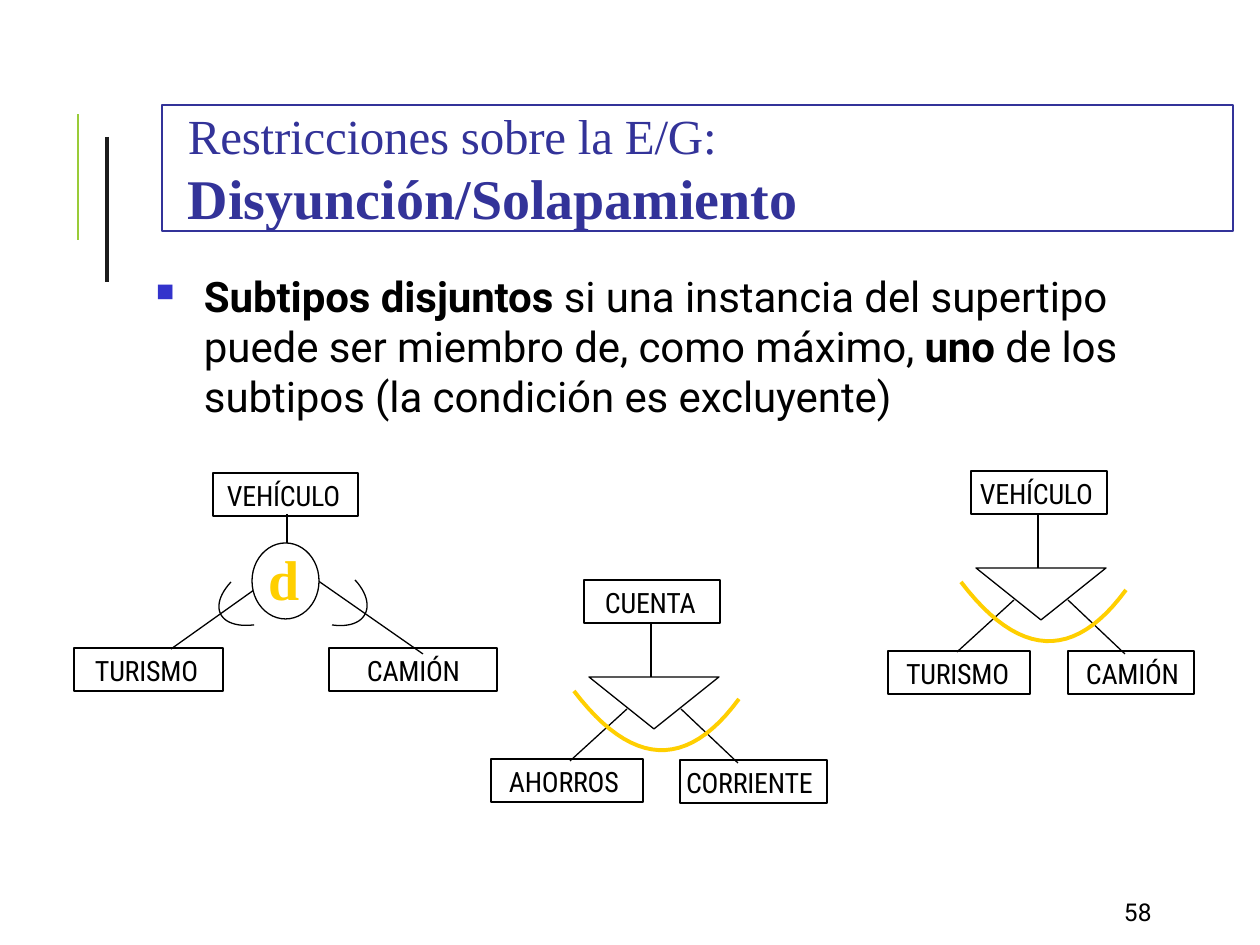
import pptx
import pptx.util
import pptx.dml.color
import pptx.enum.shapes
import pptx.enum.text
import pptx.oxml.ns
import lxml.etree

EMU_PER_PX = 914400 / 126
COLORS = {
    "black": "000000", "white": "FFFFFF", "green": "99CB38", "dark": "1C1C1C",
    "title": "333399", "bullet": "3333CC", "yellow": "FFCF00",
}
LABEL_FONT = "Roboto Condensed"
SERIF = "Times New Roman"
SHAPES = pptx.enum.shapes.MSO_SHAPE


def px(n):
    return round(n * EMU_PER_PX)


def rgb(name):
    return pptx.dml.color.RGBColor.from_string(COLORS[name])


def sub(parent, tag, **attrs):
    el = lxml.etree.SubElement(parent, pptx.oxml.ns.qn(tag))
    for key, value in attrs.items():
        el.set(key, value)
    return el


def style(sp, line=None, width=0.75, fill=None):
    sp.shadow.inherit = False
    if fill:
        sp.fill.solid()
        sp.fill.fore_color.rgb = rgb(fill)
    else:
        sp.fill.background()
    sp.line.color.rgb = rgb(line)
    sp.line.width = pptx.util.Pt(width)


def add_bullet(p, color, char, left, hang):
    pPr = p._p.get_or_add_pPr()
    pPr.set("marL", str(px(left)))
    pPr.set("indent", str(-px(hang)))
    sub(sub(pPr, "a:buClr"), "a:srgbClr", val=COLORS[color])
    sub(pPr, "a:buSzPct", val="60000")
    sub(pPr, "a:buChar", char=char)


def add_runs(p, runs, size, font, color="black", spc=0):
    p.alignment = pptx.enum.text.PP_ALIGN.LEFT
    for text, bold in runs:
        r = p.add_run()
        r.text = text
        r.font.size = pptx.util.Pt(size)
        r.font.name = font
        r.font.bold = bold
        r.font.color.rgb = rgb(color)
        if spc:
            r._r.get_or_add_rPr().set("spc", str(spc))


def frame(sp, left=0, top=1, anchor="TOP"):
    tf = sp.text_frame
    tf.word_wrap = True
    tf.margin_left, tf.margin_top = px(left), px(top)
    tf.margin_right = tf.margin_bottom = 0
    tf.vertical_anchor = getattr(pptx.enum.text.MSO_ANCHOR, anchor)
    return tf


def add_text(s, x, y, w, h, runs, left=0, anchor="TOP", bullet=None, **fmt):
    tf = frame(s.shapes.add_textbox(px(x), px(y), px(w), px(h)), left, anchor=anchor)
    p = tf.paragraphs[0]
    if bullet:
        add_bullet(p, **bullet)
    add_runs(p, runs, **fmt)


def add_shape(s, kind, x, y, w, h, **look):
    sp = s.shapes.add_shape(kind, px(x), px(y), px(w), px(h))
    style(sp, **look)
    return sp


def add_entity(s, name, x, y, w, left):
    sp = add_shape(s, SHAPES.RECTANGLE, x, y, w, 43, line="black")
    p = frame(sp, left, 6).paragraphs[0]
    add_runs(p, [(name, False)], 16, LABEL_FONT, spc=-10)


def add_line(s, x1, y1, x2, y2, color="black", width=0.75):
    ln = s.shapes.add_connector(
        pptx.enum.shapes.MSO_CONNECTOR.STRAIGHT, px(x1), px(y1), px(x2), px(y2))
    ln.line.color.rgb = rgb(color)
    ln.line.width = pptx.util.Pt(width)
    sub(ln._element.spPr, "a:effectLst")


def add_outline(s, points, close=False, **look):
    pts = [(px(x), px(y)) for x, y in points]
    fb = s.shapes.build_freeform(*pts[0])
    fb.add_line_segments(pts[1:], close=close)
    style(fb.convert_to_shape(), **look)


def add_curve(s, controls, steps=24, **look):
    points = []
    for i in range(steps + 1):
        t = i / steps
        weights = ((1 - t) ** 3, 3 * t * (1 - t) ** 2, 3 * t * t * (1 - t), t ** 3)
        points.append([sum(w * c[k] for w, c in zip(weights, controls)) for k in (0, 1)])
    add_outline(s, points, **look)


def add_triangle_split(s, x, y):
    for x1, y1, x2, y2 in [(62, -53, 62, 0), (38, 32, -19, 84), (92, 32, 149, 86)]:
        add_line(s, x + x1, y + y1, x + x2, y + y2)
    add_outline(s, [(x, y), (x + 65, y + 52), (x + 130, y)], close=True, line="black")
    arc = [(150, 22), (98, 93), (43, 90), (-15, 14)]
    add_curve(s, [(x + dx, y + dy) for dx, dy in arc], line="yellow", width=2.25)


def add_circle_split(s):
    add_line(s, 287, 514, 287, 548)
    add_line(s, 268, 580, 171, 649)
    add_line(s, 317, 580, 423, 654)
    add_shape(s, SHAPES.OVAL, 252, 543, 67, 76, line="black", fill="white")
    add_text(s, 268, 544, 36, 71, [("d", True)], left=1, size=32, font=SERIF, color="yellow")
    add_curve(s, [(231, 582), (208, 607), (219, 629), (254, 625)], line="black")
    add_curve(s, [(332, 625), (367, 630), (378, 605), (355, 580)], line="black")


def add_title(s):
    sp = add_shape(s, SHAPES.RECTANGLE, 162, 105, 1071, 126, line="title")
    tf = frame(sp, 26)
    add_runs(tf.paragraphs[0], [("Restricciones sobre la E/G:", False)],
             28, SERIF, "title", spc=-10)
    p = tf.add_paragraph()
    p.line_spacing = pptx.util.Pt(37)
    p.space_before = pptx.util.Pt(0.8)
    add_runs(p, [("Disyunción/Solapamiento", True)], 32, SERIF, "title")


def main():
    prs = pptx.Presentation()
    prs.slide_width, prs.slide_height = px(1260), px(945)
    s = prs.slides.add_slide(prs.slide_layouts[6])

    add_line(s, 78, 240, 78, 114, "green", 1.5)
    add_line(s, 107, 137, 107, 282, "dark", 2.5)
    add_title(s)
    add_text(s, 155, 269, 995, 155, [
        ("Subtipos disjuntos ", True),
        ("si una instancia del supertipo puede ser miembro de, como máximo, ", False),
        ("uno ", True),
        ("de los subtipos (la condición es excluyente)", False),
    ], bullet=dict(color="bullet", char="■", left=49, hang=48),
        size=24, font="Roboto", spc=-5)

    add_circle_split(s)
    for x, y in [(976, 568), (589, 677)]:
        add_triangle_split(s, x, y)
    for name, x, y, w, left in [
        ("VEHÍCULO", 213, 473, 145, 14),
        ("TURISMO", 74, 648, 149, 21),
        ("CAMIÓN", 329, 648, 168, 38),
        ("VEHÍCULO", 971, 471, 136, 9),
        ("TURISMO", 888, 651, 142, 18),
        ("CAMIÓN", 1068, 651, 126, 18),
        ("CUENTA", 584, 580, 136, 21),
        ("AHORROS", 491, 759, 152, 18),
        ("CORRIENTE", 680, 760, 147, 6),
    ]:
        add_entity(s, name, x, y, w, left)

    add_text(s, 1120, 892, 101, 38, [("58", False)], left=4, anchor="MIDDLE",
             size=14, font="Roboto")
    prs.save("out.pptx")


if __name__ == "__main__":
    main()
